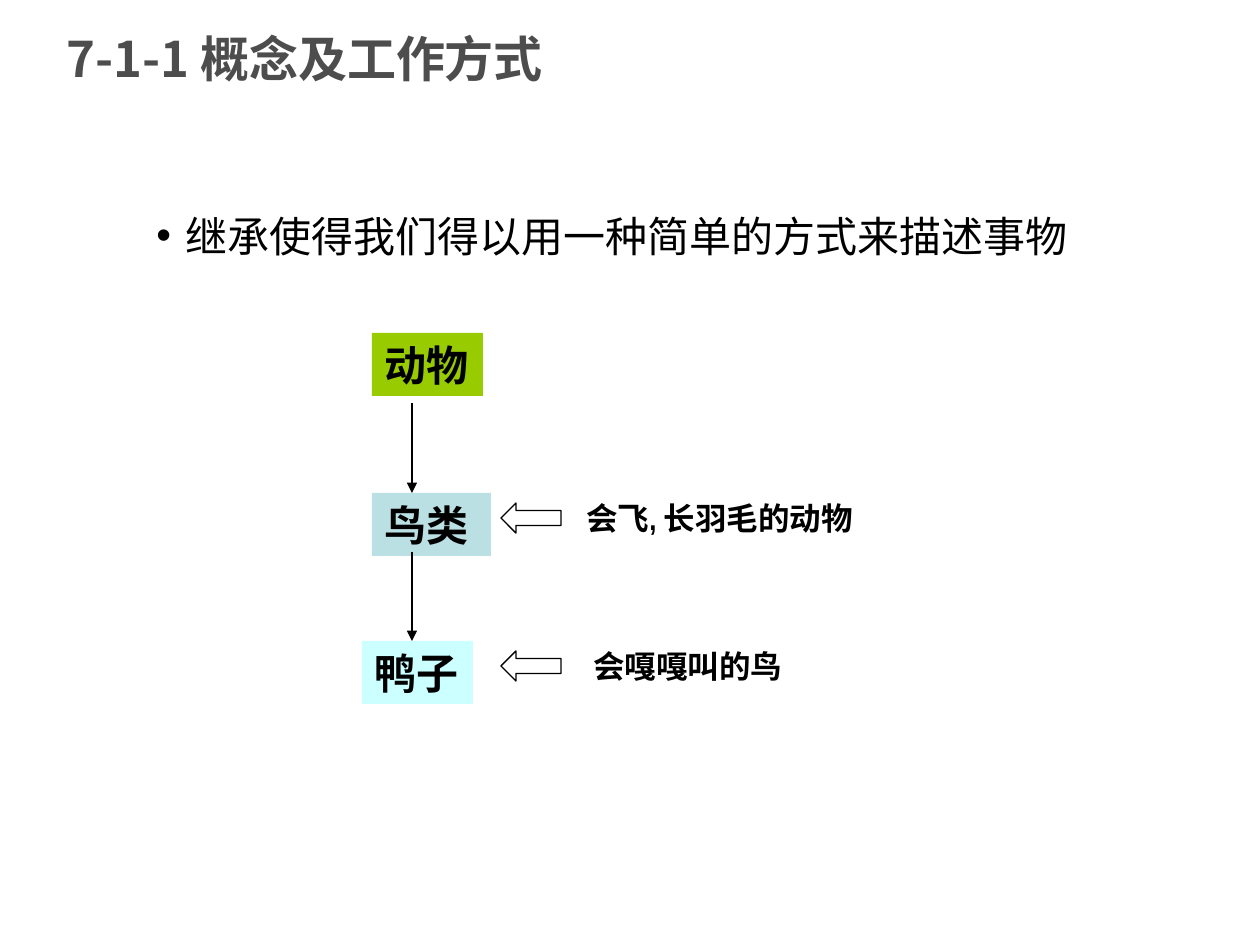
from lxml import etree
from pptx import Presentation
from pptx.dml.color import RGBColor
from pptx.enum.shapes import MSO_CONNECTOR, MSO_SHAPE
from pptx.enum.text import MSO_ANCHOR, MSO_AUTO_SIZE, PP_ALIGN
from pptx.oxml.ns import qn
from pptx.util import Emu, Pt

SCALE = 914400 // 126
RECTANGLE = MSO_SHAPE.RECTANGLE
LEFT_ARROW = MSO_SHAPE.LEFT_ARROW
STRAIGHT = MSO_CONNECTOR.STRAIGHT
TOP, MIDDLE = MSO_ANCHOR.TOP, MSO_ANCHOR.MIDDLE
LEFT = PP_ALIGN.LEFT
FIT_SHAPE = MSO_AUTO_SIZE.SHAPE_TO_FIT_TEXT
BLACK = "000000"
LABEL_FONT = "Arial Narrow"
BODY_FONT = "Times New Roman"
TITLE_FONT = "Noto Sans CJK SC"
BULLET_FONT = "Arial"
LINE_WIDTH = 0.75
ARROW_X = 412


def px(*lengths):
    """Turn pixel lengths into EMU."""
    return [Emu(length * SCALE) for length in lengths]


def color(value):
    """Turn a hex string into a colour."""
    return RGBColor.from_string(value)


def write(shape, text, size, font, asian_font=None, bold=True, ink=BLACK,
          anchor=TOP, wrap=True):
    """Put one formatted paragraph into a shape and return it."""
    frame = shape.text_frame
    frame.text = text
    frame.word_wrap = wrap
    frame.vertical_anchor = anchor
    paragraph = frame.paragraphs[0]
    paragraph.alignment = LEFT
    for run in paragraph.runs:
        run.font.size = Pt(size)
        run.font.bold = bold
        run.font.name = font
        run.font.color.rgb = color(ink)
        east_asian = etree.SubElement(run.font._element, qn("a:ea"))
        east_asian.set("typeface", asian_font or font)
    return paragraph


def add_text(slide, box, text, size, font, **style):
    """Add a text box and return its paragraph."""
    return write(slide.shapes.add_textbox(*px(*box)), text, size, font, **style)


def add_bullet(paragraph, indent):
    """Give a paragraph a round bullet with a hanging indent."""
    properties = paragraph._p.get_or_add_pPr()
    margin = px(indent)[0]
    properties.set("marL", str(margin))
    properties.set("indent", str(-margin))
    etree.SubElement(properties, qn("a:buFont")).set("typeface", BULLET_FONT)
    etree.SubElement(properties, qn("a:buChar")).set("char", "•")


def add_class_box(slide, box, text, fill):
    """Add a filled box naming one class of the hierarchy."""
    shape = slide.shapes.add_shape(RECTANGLE, *px(*box))
    shape.shadow.inherit = False
    shape.fill.solid()
    shape.fill.fore_color.rgb = color(fill)
    shape.line.fill.background()
    write(shape, text, 24, LABEL_FONT)
    shape.text_frame.auto_size = FIT_SHAPE


def add_down_arrow(slide, top, bottom):
    """Add a thin line with an arrowhead at its lower end."""
    connector = slide.shapes.add_connector(STRAIGHT, *px(ARROW_X, top, ARROW_X, bottom))
    connector.line.color.rgb = color(BLACK)
    connector.line.width = Pt(LINE_WIDTH)
    tail = etree.SubElement(connector.line._get_or_add_ln(), qn("a:tailEnd"))
    tail.set("type", "triangle")
    etree.SubElement(connector._element.spPr, qn("a:effectLst"))


def add_note(slide, left, top, width, text):
    """Add a hollow left arrow and the note beside it."""
    arrow = slide.shapes.add_shape(LEFT_ARROW, *px(501, top + 10, 60, 30))
    arrow.shadow.inherit = False
    arrow.fill.background()
    arrow.line.color.rgb = color(BLACK)
    arrow.line.width = Pt(LINE_WIDTH)
    add_text(slide, (left, top, width, 50), text, 18, LABEL_FONT)


def main():
    """Build the slide on inheritance."""
    presentation = Presentation()
    presentation.slide_width, presentation.slide_height = px(1260, 945)
    slide = presentation.slides.add_slide(presentation.slide_layouts[6])

    add_text(slide, (54, 0, 945, 116), "7-1-1 概念及工作方式", 28, TITLE_FONT,
             ink="4D4D4D", anchor=MIDDLE)
    statement = add_text(slide, (144, 204, 1071, 651),
                         "继承使得我们得以用一种简单的方式来描述事物",
                         24, BODY_FONT, asian_font=TITLE_FONT, bold=False)
    add_bullet(statement, 29)

    add_class_box(slide, (372, 333, 111, 63), "动物", "99CC00")
    add_class_box(slide, (372, 493, 119, 63), "鸟类", "BBE0E3")
    add_class_box(slide, (362, 641, 111, 63), "鸭子", "CCFFFF")
    for top, bottom in ((403, 493), (552, 641)):
        add_down_arrow(slide, top, bottom)
    add_note(slide, 574, 493, 320, "会飞, 长羽毛的动物")
    add_note(slide, 581, 641, 220, "会嘎嘎叫的鸟")

    presentation.save("out.pptx")


if __name__ == "__main__":
    main()
